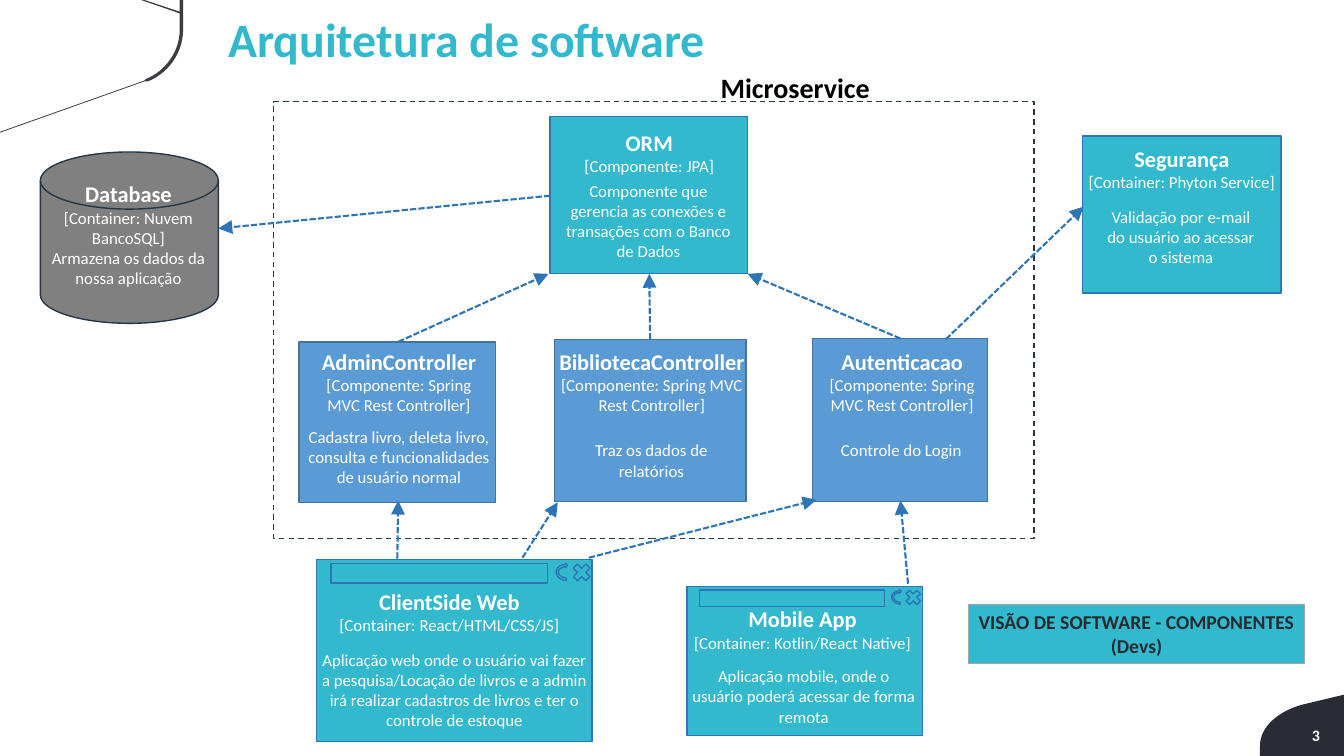
from dataclasses import dataclass
from typing import NamedTuple, Optional

from lxml import etree
from pptx import Presentation, util as u
from pptx.dml.color import RGBColor
from pptx.enum import dml, shapes, text
from pptx.oxml.ns import qn

# Grid of 160 columns by 90 rows, each cell a twelfth of an inch
COLUMNS, ROWS = 160, 90
CELL = u.Inches(1) // 12
TEAL, BLUE, GREY, NAVY = "32B9CD", "5B9BD5", "808080", "253746"
EDGE, WHITE = "2E75B6", "FFFFFF"
KIND = shapes.MSO_SHAPE
CENTER, LEFT, RIGHT = text.PP_ALIGN.CENTER, text.PP_ALIGN.LEFT, text.PP_ALIGN.RIGHT

FRAME_FORMAT = {"word_wrap": True, "auto_size": text.MSO_AUTO_SIZE.NONE,
                "vertical_anchor": text.MSO_ANCHOR.TOP}
NAME_FORMAT = {"name": "Calibri", "size": u.Pt(16), "bold": True}
DETAIL_FORMAT = {"name": "Calibri", "size": u.Pt(12), "bold": False}


class Area(NamedTuple):
    left: float
    top: float
    width: float
    height: float = 8


class Line(NamedTuple):
    words: str
    style: dict
    color: str = WHITE


class Arrow(NamedTuple):
    x1: float
    y1: float
    x2: float
    y2: float


@dataclass
class Component:
    name: str
    kind: str
    duty: str
    box: Area
    head: Area
    body: Optional[Area]  # without a body area, the duty follows the heading
    fill: str = TEAL
    edge: str = EDGE
    outline: KIND = KIND.RECTANGLE
    is_window: bool = False


COMPONENTS = [
    Component("Database", "[Container: Nuvem BancoSQL]", "Armazena os dados da nossa aplicação",
              Area(4.8, 18.1, 21.2, 20.4), Area(2.6, 20.9, 25.4, 14.2), None,
              GREY, NAVY, KIND.FLOWCHART_MAGNETIC_DISK),
    Component("Segurança", "[Container: Phyton Service]",
              "Validação por e-mail do usuário ao acessar o sistema",
              Area(128.9, 16.2, 23.6, 18.7), Area(127.7, 16.7, 26), Area(130.3, 24, 20.6)),
    Component("ORM", "[Componente: JPA]",
              "Componente que gerencia as conexões e transações com o Banco de Dados",
              Area(65.5, 13.9, 23.5, 18.7), Area(63.5, 14.8, 27.6), Area(66, 20.9, 22.4)),
    Component("AdminController", "[Componente: Spring MVC Rest Controller]",
              "Cadastra livro, deleta livro, consulta e funcionalidades de usuário normal",
              Area(35.6, 40.7, 23.4, 19.1), Area(36.7, 40.8, 21.6), Area(35.2, 50.2, 24.6),
              BLUE, "43739E"),
    Component("BibliotecaController", "[Componente: Spring MVC Rest Controller]",
              "Traz os dados de relatórios",
              Area(66, 40.4, 22.8, 19.3), Area(65.3, 40.8, 24.6), Area(65.8, 51.8, 23.5),
              BLUE, "43739E"),
    Component("Autenticacao", "[Componente: Spring MVC Rest Controller]", "Controle do Login",
              Area(96.7, 40.3, 20.9, 19.4), Area(96.1, 40.8, 22.6), Area(96, 51.7, 22.6),
              BLUE, "43739E"),
    Component("ClientSide Web", "[Container: React/HTML/CSS/JS]",
              "Aplicação web onde o usuário vai fazer a pesquisa/Locação de livros e a admin "
              "irá realizar cadastros de livros e ter o controle de estoque",
              Area(37.7, 66.6, 32.8, 21.7), Area(36.4, 69.4, 34.2), Area(37, 76.7, 34.2),
              is_window=True),
    Component("Mobile App", "[Container: Kotlin/React Native]",
              "Aplicação mobile, onde o usuário poderá acessar de forma remota",
              Area(81.8, 69.8, 28, 17.8), Area(79.9, 71.5, 31.3), Area(81.2, 78.7, 29),
              is_window=True),
]

# Window controls, relative to a window 32.8 columns wide: outline, place, rotation
WINDOW_WIDTH = 32.8
WINDOW_CONTROLS = [
    (KIND.RECTANGLE, Area(1.7, 0.5, 25.8, 2.3), 0),
    (KIND.MATH_MULTIPLY, Area(30.1, 0.1, 2.9, 2.9), 0),
    (KIND.CIRCULAR_ARROW, Area(28.7, 0.1, 2.2, 2.9), 275),
]

ARROWS = [
    Arrow(65.5, 23.3, 26, 27.2), Arrow(112.6, 40.4, 129, 24.6), Arrow(47.4, 40.7, 65.3, 32.6),
    Arrow(77.4, 40.4, 77.3, 32.6), Arrow(107.2, 40.3, 89, 32.6), Arrow(47.3, 66.5, 47.4, 59.6),
    Arrow(62.2, 66.4, 66.4, 59.8), Arrow(70.1, 66.4, 97.2, 59.5), Arrow(108.1, 69.5, 107.2, 59.6),
]


def cells(*lengths: float) -> list[int]:
    return [round(length * CELL) for length in lengths]


def rgb(color: str) -> RGBColor:
    return RGBColor.from_string(color)


def apply(target, values: dict) -> None:
    for key, value in values.items():
        setattr(target, key, value)


def curve(*controls: tuple, steps: int = 16) -> list[tuple]:
    """Points along a cubic curve with four control points."""
    def at(t: float) -> tuple:
        weights = ((1 - t) ** 3, 3 * t * (1 - t) ** 2, 3 * t * t * (1 - t), t ** 3)
        return tuple(sum(w * c[axis] for w, c in zip(weights, controls)) for axis in (0, 1))
    return [at(step / steps) for step in range(steps + 1)]


def add_outline(slide, points: list[tuple], color: str) -> None:
    start, *rest = [cells(*point) for point in points]
    builder = slide.shapes.build_freeform(*start)
    builder.add_line_segments(rest, close=True)
    ornament = builder.convert_to_shape()
    ornament.shadow.inherit = False
    ornament.fill.solid()
    ornament.fill.fore_color.rgb = rgb(color)
    ornament.line.fill.background()


def add_box(slide, area: Area, fill: Optional[str], edge: str, outline=KIND.RECTANGLE,
            weight: float = 1):
    box = slide.shapes.add_shape(outline, *cells(*area))
    box.shadow.inherit = False
    if fill:
        box.fill.solid()
        box.fill.fore_color.rgb = rgb(fill)
    else:
        box.fill.background()
    box.line.color.rgb = rgb(edge)
    box.line.width = u.Pt(weight)
    return box


def write(frame, lines: list[Line], align=CENTER, **frame_values) -> None:
    apply(frame, FRAME_FORMAT | frame_values)
    for index, line in enumerate(lines):
        paragraph = frame.add_paragraph() if index else frame.paragraphs[0]
        paragraph.alignment = align
        run = paragraph.add_run()
        run.text = line.words
        apply(run.font, line.style)
        run.font.color.rgb = rgb(line.color)


def add_text(slide, area: Area, lines: list[Line], align=CENTER, **frame_values) -> None:
    write(slide.shapes.add_textbox(*cells(*area)).text_frame, lines, align, **frame_values)


def add_component(slide, part: Component) -> None:
    add_box(slide, part.box, part.fill, part.edge, part.outline)
    if part.is_window:
        scale = part.box.width / WINDOW_WIDTH
        for outline, place, rotation in WINDOW_CONTROLS:
            x, y, width, height = (scale * length for length in place)
            area = Area(part.box.left + x, part.box.top + y, width, height)
            add_box(slide, area, None, EDGE, outline).rotation = rotation
    heading = [Line(part.name, NAME_FORMAT), Line(part.kind, DETAIL_FORMAT)]
    duty = [Line(part.duty, DETAIL_FORMAT)]
    add_text(slide, part.head, heading if part.body else heading + duty)
    if part.body:
        add_text(slide, part.body, duty)


def add_arrow(slide, arrow: Arrow) -> None:
    link = slide.shapes.add_connector(shapes.MSO_CONNECTOR.STRAIGHT, *cells(*arrow))
    link.line.color.rgb = rgb(EDGE)
    apply(link.line, {"width": u.Pt(1.5), "dash_style": dml.MSO_LINE.SQUARE_DOT})
    etree.SubElement(link.line._get_or_add_ln(), qn("a:tailEnd"),
                     type="triangle", w="lg", len="lg")
    etree.SubElement(link._element.spPr, qn("a:effectLst"))


def main() -> None:
    deck = Presentation()
    deck.slide_width, deck.slide_height = cells(COLUMNS, ROWS)
    slide = deck.slides.add_slide(deck.slide_layouts[5])

    # Corner ornaments and page number
    add_outline(slide, [(160, 82.7), *curve((155, 83.9), (152.4, 84.6), (150, 86.4), (150, 88.8)),
                        (150, 90), (160, 90)], "292C34")
    add_outline(slide, [(0, 15.8), (17.2, 9.7),
                        *curve((17.6, 9.7), (19.9, 8.8), (21.8, 6.4), (21.8, 3.6)),
                        (21.8, 0), (21.4, 0), (21.4, 1.4), (17.2, 0), (16.8, 0), (21.4, 1.6),
                        *curve((21.4, 3.6), (21.4, 6.1), (19.7, 8.5), (17.4, 9.4)),
                        (17.2, 9.6), (0, 15.7)], "3B3D42")
    add_text(slide, Area(150, 86.2, 7.4, 2.5), [Line("3", NAME_FORMAT | {"size": u.Pt(11.4)})],
             RIGHT, margin_right=u.Inches(0.02), margin_top=u.Inches(0.01))

    # Title
    title = slide.shapes.title
    apply(title, dict(zip(("left", "top", "width", "height"), cells(26, 1.3, 128.3, 9.1))))
    write(title.text_frame,
          [Line("Arquitetura de software", NAME_FORMAT | {"size": u.Pt(34.2)}, TEAL)], LEFT)
    title.text_frame.paragraphs[0].line_spacing = 0.9

    # Microservice boundary
    boundary = add_box(slide, Area(32.6, 12.1, 90.5, 52), None, NAVY)
    boundary.line.dash_style = dml.MSO_LINE.DASH
    add_text(slide, Area(84.6, 7.8, 20.4, 5.3),
             [Line("Microservice", NAME_FORMAT | {"size": u.Pt(20)}, "000000")], LEFT)

    # Components and their links
    for part in COMPONENTS:
        add_component(slide, part)
    for arrow in ARROWS:
        add_arrow(slide, arrow)

    # View label
    view = add_box(slide, Area(115.3, 71.9, 40, 7.1), TEAL, "A5A5A5", weight=0.5)
    label_format = NAME_FORMAT | {"size": u.Pt(14)}
    write(view.text_frame, [Line(words, label_format, "272A30") for words in
                            ("VISÃO DE SOFTWARE - COMPONENTES", "(Devs)")],
          vertical_anchor=text.MSO_ANCHOR.MIDDLE)

    deck.save("out.pptx")


if __name__ == "__main__":
    main()
